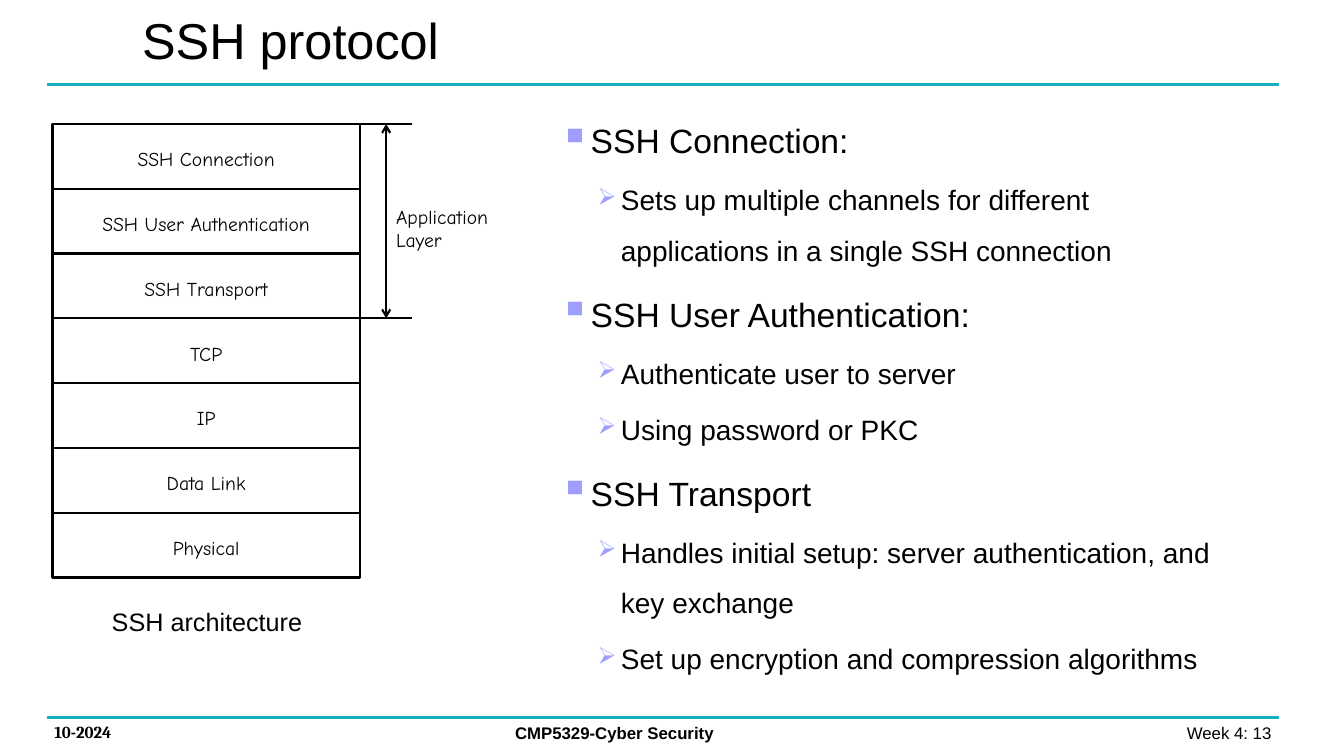
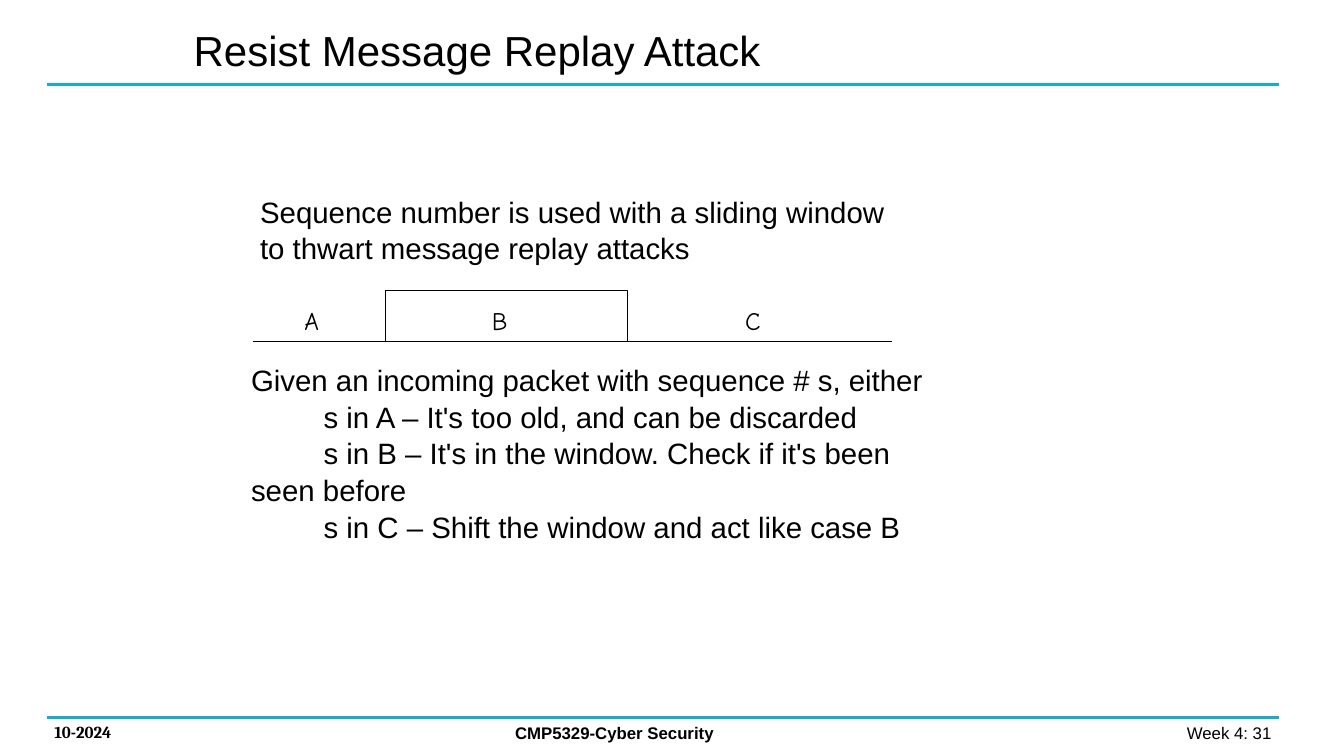
import pptx
import pptx.util
import pptx.dml.color
import pptx.enum.shapes
import pptx.enum.text
import pptx.oxml.ns
import lxml.etree

Inches = pptx.util.Inches
Pt = pptx.util.Pt
ALIGN = pptx.enum.text.PP_ALIGN
RECTANGLE = pptx.enum.shapes.MSO_SHAPE.RECTANGLE
qn = pptx.oxml.ns.qn

BLACK = pptx.dml.color.RGBColor(0x00, 0x00, 0x00)
WHITE = pptx.dml.color.RGBColor(0xFF, 0xFF, 0xFF)
TEAL = pptx.dml.color.RGBColor(0x16, 0xAF, 0xC2)
LILAC = pptx.dml.color.RGBColor(0x9E, 0x9E, 0xFF)
BODY_FONT, DATE_FONT, SKETCH_FONT = "Arial", "Cambria", "Comic Neue"


def add_line(page, x1, y1, x2, y2, width, color=BLACK, arrows=False):
    line = page.shapes.add_connector(
        pptx.enum.shapes.MSO_CONNECTOR.STRAIGHT,
        Inches(x1), Inches(y1), Inches(x2), Inches(y2))
    line.line.color.rgb = color
    line.line.width = Pt(width)
    if arrows:
        outline = line.line._get_or_add_ln()
        for end in ("a:headEnd", "a:tailEnd"):
            lxml.etree.SubElement(outline, qn(end), type="arrow")
    lxml.etree.SubElement(line._element.spPr, qn("a:effectLst"))


def add_text(shape, paragraphs, size, font=BODY_FONT, bold=False,
             align=ALIGN.LEFT, inset=(0.1, 0.05), wrap=True):
    """Fill a shape with paragraphs; a line feed becomes a line break."""
    frame = shape.text_frame
    frame.word_wrap = wrap
    frame.auto_size = pptx.enum.text.MSO_AUTO_SIZE.NONE
    frame.margin_left = frame.margin_right = Inches(inset[0])
    frame.margin_top = frame.margin_bottom = Inches(inset[1])
    for index, text in enumerate(paragraphs):
        para = frame.add_paragraph() if index else frame.paragraphs[0]
        para.alignment = align
        for part, words in enumerate(text.split("\n")):
            if part:
                para.add_line_break()
            span = para.add_run()
            span.text = words
            span.font.size = Pt(size)
            span.font.name = font
            span.font.bold = bold
            span.font.color.rgb = BLACK
    return frame


deck = pptx.Presentation()
deck.slide_width, deck.slide_height = Inches(13.33), Inches(7.5)

# Shared frame: title, rules and footer
frames = [
    ("SSH protocol", 36, (1.31, -0.04, 9.85, 0.87), "Week 4: 13"),
    ("Resist Message Replay Attack", 30, (1.82, 0, 8.16, 0.99), "Week 4: 31"),
]
pages = []
for heading, size, place, week in frames:
    page = deck.slides.add_slide(deck.slide_layouts[5])
    pages.append(page)
    for y in (0.84, 7.12):
        add_line(page, 0.47, y, 12.69, y, 2.25, TEAL)
    footers = [
        ("10-2024", 0.44, 7.11, 1.78, DATE_FONT, True, ALIGN.LEFT),
        ("CMP5329-Cyber Security", 5.01, 7.12, 4.09, BODY_FONT, True, ALIGN.LEFT),
        (week, 9.77, 7.12, 2.94, BODY_FONT, False, ALIGN.RIGHT),
    ]
    for words, x, y, width, font, bold, align in footers:
        box = page.shapes.add_textbox(Inches(x), Inches(y), Inches(width), Inches(0.3))
        add_text(box, [words], 12, font, bold, align)
    title = page.shapes.title
    title.left, title.top, title.width, title.height = map(Inches, place)
    add_text(title, [heading], size)
    title.text_frame.vertical_anchor = pptx.enum.text.MSO_ANCHOR.MIDDLE

ssh_page, replay_page = pages

# SSH protocol: bulleted explanation
points = [
    (0, "SSH Connection:"),
    (1, "Sets up multiple channels for different applications in a single SSH connection"),
    (0, "SSH User Authentication:"),
    (1, "Authenticate user to server"),
    (1, "Using password or PKC"),
    (0, "SSH Transport"),
    (1, "Handles initial setup: server authentication, and key exchange"),
    (1, "Set up encryption and compression algorithms"),
]
# Per level: size, left margin, hanging indent, bullet, bullet percentage
levels = [(24, 0.28, 0.28, "▪", 125), (20, 0.61, 0.23, "➢", 85)]
box = ssh_page.shapes.add_textbox(Inches(5.45), Inches(0.94), Inches(6.67), Inches(5.08))
frame = add_text(box, [words for level, words in points], 20)
for para, (level, words) in zip(frame.paragraphs, points):
    size, margin, hanging, bullet, percent = levels[level]
    para.level = level
    para.line_spacing = 1.5
    para.space_before = Pt(size * 0.2)
    para.runs[0].font.size = Pt(size)
    props = para._p.get_or_add_pPr()
    props.set("marL", str(Inches(margin)))
    props.set("indent", str(-Inches(hanging)))
    color = lxml.etree.SubElement(props, qn("a:buClr"))
    lxml.etree.SubElement(color, qn("a:srgbClr"), val=str(LILAC))
    lxml.etree.SubElement(props, qn("a:buSzPct"), val=str(percent * 1000))
    lxml.etree.SubElement(props, qn("a:buChar"), char=bullet)

# SSH protocol: layer stack
layers = ["SSH Connection", "SSH User Authentication", "SSH Transport",
          "TCP", "IP", "Data Link", "Physical"]
left, top, width, height = 0.52, 1.23, 3.05, 4.5
row = height / len(layers)
app_rows = 3
stack = ssh_page.shapes.add_shape(
    RECTANGLE, Inches(left), Inches(top), Inches(width), Inches(height))
stack.shadow.inherit = False
stack.fill.solid()
stack.fill.fore_color.rgb = WHITE
stack.line.color.rgb = BLACK
stack.line.width = Pt(2)
for index, layer in enumerate(layers):
    y = top + index * row
    right = 4.09 if index in (0, app_rows) else left + width
    add_line(ssh_page, left, y, right, y, 1.5)
    box = ssh_page.shapes.add_textbox(
        Inches(left), Inches(y + 0.18), Inches(width), Inches(0.34))
    add_text(box, [layer], 14, SKETCH_FONT, align=ALIGN.CENTER)

# SSH protocol: application layer span and caption
add_line(ssh_page, 3.83, top, 3.83, top + app_rows * row, 1.5, arrows=True)
box = ssh_page.shapes.add_textbox(Inches(3.83), Inches(1.98), Inches(1.36), Inches(0.57))
add_text(box, ["Application Layer"], 14, SKETCH_FONT)
box = ssh_page.shapes.add_textbox(Inches(1.01), Inches(5.97), Inches(2.09), Inches(0.4))
add_text(box, ["SSH architecture"], 18, wrap=False)

# Replay attack: sliding window
window = replay_page.shapes.add_shape(
    RECTANGLE, Inches(3.82), Inches(2.88), Inches(2.4), Inches(0.51))
window.shadow.inherit = False
window.fill.solid()
window.fill.fore_color.rgb = WHITE
window.line.color.rgb = BLACK
window.line.width = Pt(0.75)
for start, end in ((2.51, 4.04), (6.01, 8.85)):
    add_line(replay_page, start, 3.39, end, 3.39, 0.75)
tight = (0.07, 0.03)
for letter, x in (("A", 2.95), ("B", 4.81), ("C", 7.32)):
    box = replay_page.shapes.add_textbox(Inches(x), Inches(3), Inches(0.33), Inches(0.39))
    add_text(box, [letter], 18, SKETCH_FONT, inset=tight)

# Replay attack: explanation above and below the window
intro = ["Sequence number is used with a sliding window\nto thwart message replay attacks"]
cases = [
    "Given an incoming packet with sequence # s, either",
    "s in A – It's too old, and can be discarded",
    "s in B – It's in the window. Check if it's been seen before",
    "s in C – Shift the window and act like case B",
]
for words, x, y, width, height in ((intro, 2.51, 1.88, 6.44, 0.86),
                                   (cases, 2.42, 3.55, 6.96, 1.37)):
    box = replay_page.shapes.add_textbox(
        Inches(x), Inches(y), Inches(width), Inches(height))
    frame = add_text(box, words, 21, inset=tight)
    for index, para in enumerate(frame.paragraphs):
        para.line_spacing = 1.04
        if index:
            para._p.get_or_add_pPr().set("indent", str(Inches(0.72)))

deck.save("out.pptx")
